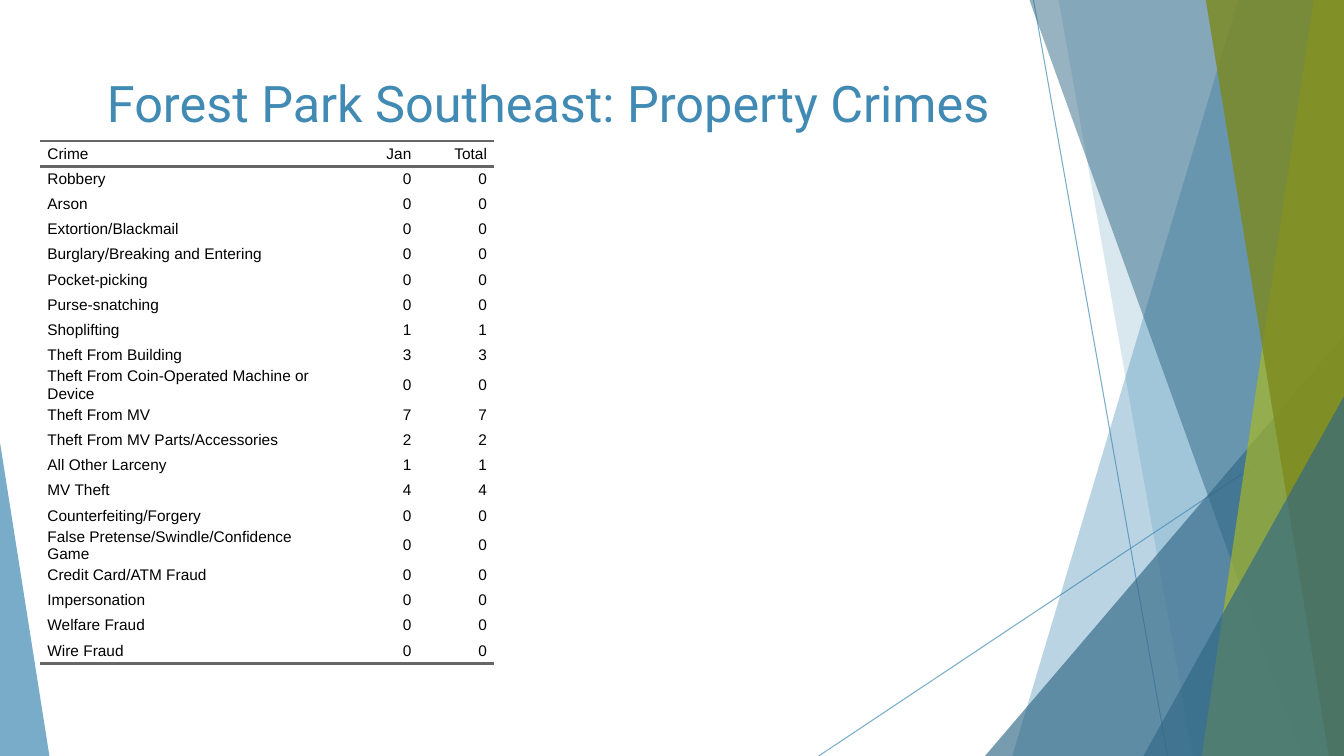
from lxml.etree import SubElement
from pptx import Presentation
from pptx.dml.color import RGBColor
from pptx.enum.shapes import MSO_CONNECTOR, MSO_SHAPE
from pptx.enum.text import MSO_ANCHOR, PP_ALIGN
from pptx.oxml.ns import qn
from pptx.util import Inches, Pt

BLUE, DARK_BLUE, GREEN, OLIVE = "418AB3", "316886", "A6B727", "7D891D"
BLACK, RULE_GREY = "000000", "666666"
SLIDE_WIDTH, SLIDE_HEIGHT = 13.33, 7.5
PLAIN_TABLE_STYLE = "{2D5ABB26-0587-4C30-8999-92F81FD0307C}"

CRIME_COUNTS = [
    ("Robbery", 0),
    ("Arson", 0),
    ("Extortion/Blackmail", 0),
    ("Burglary/Breaking and Entering", 0),
    ("Pocket-picking", 0),
    ("Purse-snatching", 0),
    ("Shoplifting", 1),
    ("Theft From Building", 3),
    ("Theft From Coin-Operated Machine or Device", 0),
    ("Theft From MV", 7),
    ("Theft From MV Parts/Accessories", 2),
    ("All Other Larceny", 1),
    ("MV Theft", 4),
    ("Counterfeiting/Forgery", 0),
    ("False Pretense/Swindle/Confidence Game", 0),
    ("Credit Card/ATM Fraud", 0),
    ("Impersonation", 0),
    ("Welfare Fraud", 0),
    ("Wire Fraud", 0),
]


def color(hex_text):
    return RGBColor.from_string(hex_text)


def set_opacity(fill, percent):
    color_element = fill._xPr.find(qn("a:solidFill"))[0]
    SubElement(color_element, qn("a:alpha"), val=str(percent * 1000))


def paint(shape, hex_text, opacity):
    shape.shadow.inherit = False
    shape.line.fill.background()
    shape.fill.solid()
    shape.fill.fore_color.rgb = color(hex_text)
    set_opacity(shape.fill, opacity)


def add_thin_line(slide, start, end):
    line = slide.shapes.add_connector(
        MSO_CONNECTOR.STRAIGHT, *(Inches(value) for value in start + end))
    line.line.width = Pt(0.75)
    line.line.color.rgb = color(BLUE)
    set_opacity(line.line.fill, 70)
    SubElement(line._element.spPr, qn("a:effectLst"))


def add_band(slide, right, height, top_inset, bottom_inset, hex_text, opacity):
    """Full-height band whose left edge slants; insets count from the right."""
    corners = [(right - top_inset, 0), (right, 0), (right, height),
               (right - bottom_inset, height)]
    points = [(Inches(x), Inches(y)) for x, y in corners]
    builder = slide.shapes.build_freeform(*points[0])
    builder.add_line_segments(points[1:], close=True)
    paint(builder.convert_to_shape(), hex_text, opacity)


def add_corner(slide, left, bottom, width, height, apex, hex_text, opacity):
    """Right triangle standing on the bottom edge; apex 0 is left, 1 right."""
    triangle = slide.shapes.add_shape(
        MSO_SHAPE.ISOSCELES_TRIANGLE, Inches(left), Inches(bottom - height),
        Inches(width), Inches(height))
    triangle.adjustments[0] = apex
    paint(triangle, hex_text, opacity)


def add_facets(slide, right, bottom):
    # Thin crossing lines
    add_thin_line(slide, (right - 3.08, 0), (right - 1.75, bottom))
    add_thin_line(slide, (right, 4.03), (right - 5.21, bottom))

    # Overlapping bands and corners, back to front
    add_band(slide, right, bottom, 1.05, 3.29, BLUE, 36)
    add_band(slide, right, bottom, 2.83, 1.5, BLUE, 20)
    add_corner(slide, right - 3.56, bottom, 3.56, 4.17, 1, DARK_BLUE, 66)
    add_band(slide, right, bottom, 3.12, 0.42, DARK_BLUE, 50)
    add_band(slide, right, bottom, 0.3, 1.41, GREEN, 70)
    add_band(slide, right, bottom, 1.37, 0.15, OLIVE, 80)
    add_corner(slide, right - 1.99, bottom, 1.99, 3.57, 1, DARK_BLUE, 66)
    add_corner(slide, 0, bottom, 0.49, 3.11, 0, BLUE, 70)


def add_rule(cell, side):
    rule = SubElement(cell._tc.get_or_add_tcPr(), qn(f"a:{side}"),
                      w=str(Pt(2)))
    fill = SubElement(rule, qn("a:solidFill"))
    SubElement(fill, qn("a:srgbClr"), val=RULE_GREY)


def fill_cell(cell, text, alignment, rules):
    cell.margin_left = cell.margin_right = 0
    cell.margin_top = cell.margin_bottom = 0
    cell.vertical_anchor = MSO_ANCHOR.MIDDLE
    for side in rules:
        add_rule(cell, side)
    cell.fill.background()
    paragraph = cell.text_frame.paragraphs[0]
    paragraph.alignment = alignment
    properties = paragraph._p.get_or_add_pPr()
    for margin in ("marL", "marR"):
        properties.set(margin, str(Inches(0.07)))
    run = paragraph.add_run()
    run.text = text
    run.font.name = "Arial"
    run.font.size = Pt(11)
    run.font.color.rgb = color(BLACK)


def add_crime_table(slide, left, top, width):
    # With one month so far, the total equals the January count
    rows = [("Crime", "Jan", "Total")]
    rows += [(crime, str(count), str(count)) for crime, count in CRIME_COUNTS]
    row_height = 0.25
    table = slide.shapes.add_table(
        len(rows), 3, Inches(left), Inches(top), Inches(width),
        Inches(row_height * len(rows))).table
    table.first_row = table.horz_banding = False
    table._tbl.tblPr.find(qn("a:tableStyleId")).text = PLAIN_TABLE_STYLE

    column_shares = (4, 1, 1)
    for column, share in zip(table.columns, column_shares):
        column.width = Inches(width * share / sum(column_shares))
    rules_by_row = {0: ("lnT", "lnB"), len(rows) - 1: ("lnB",)}
    for row_index, values in enumerate(rows):
        table.rows[row_index].height = Inches(row_height)
        for column_index, text in enumerate(values):
            alignment = PP_ALIGN.RIGHT if column_index else PP_ALIGN.LEFT
            fill_cell(table.cell(row_index, column_index), text, alignment,
                      rules_by_row.get(row_index, ()))


def place_title(slide, left, top, width, height):
    title = slide.shapes.title
    title.left, title.top = Inches(left), Inches(top)
    title.width, title.height = Inches(width), Inches(height)
    title.text_frame.word_wrap = True
    title.text_frame.vertical_anchor = MSO_ANCHOR.TOP
    paragraph = title.text_frame.paragraphs[0]
    paragraph.alignment = PP_ALIGN.CENTER
    run = paragraph.add_run()
    run.text = "Forest Park Southeast: Property Crimes"
    run.font.name = "Roboto"
    run.font.size = Pt(36)
    run.font.color.rgb = color(BLUE)


def main():
    presentation = Presentation()
    presentation.slide_width = Inches(SLIDE_WIDTH)
    presentation.slide_height = Inches(SLIDE_HEIGHT)
    slide = presentation.slides.add_slide(presentation.slide_layouts[5])
    add_facets(slide, SLIDE_WIDTH, SLIDE_HEIGHT)
    add_crime_table(slide, 0.4, 1.4, 4.5)
    place_title(slide, 0.74, 0.67, 9.4, 1.44)
    presentation.save("out.pptx")


if __name__ == "__main__":
    main()
